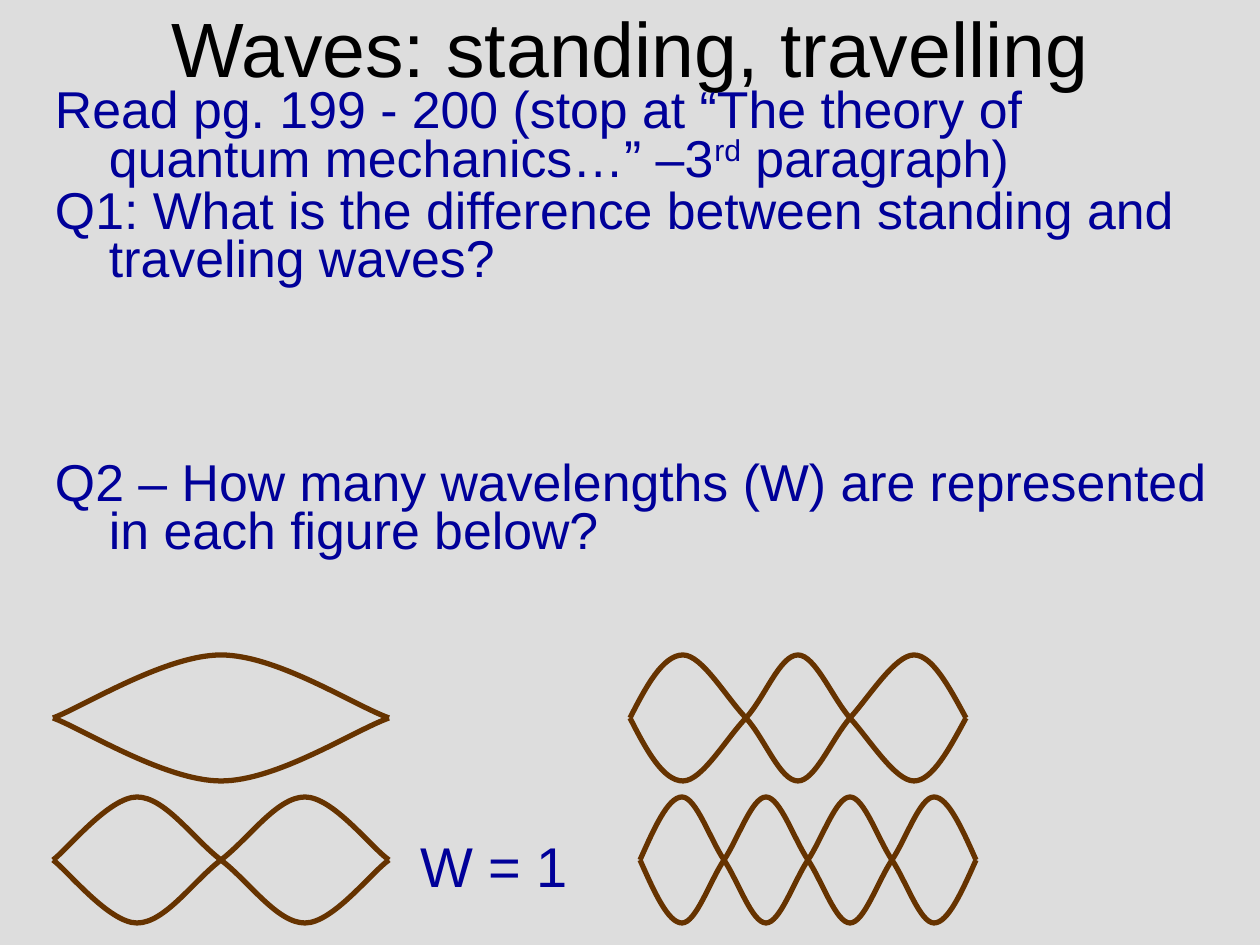
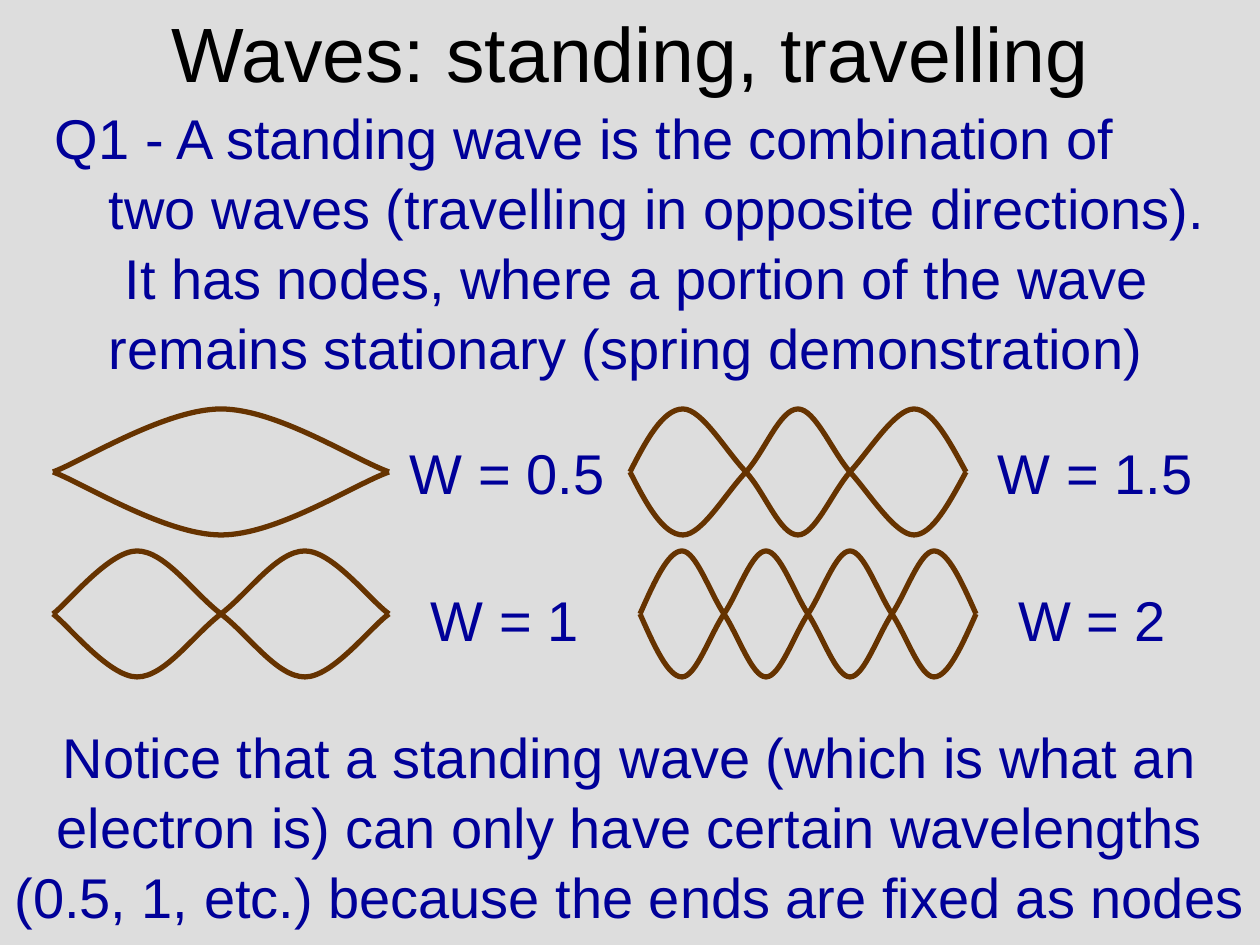
import itertools
from dataclasses import dataclass

import pptx
import pptx.dml.color
import pptx.enum.text
import pptx.oxml.ns
import pptx.util
from lxml import etree

PX = pptx.util.Inches(1) / 126
TITLE_ONLY = 5
ALIGN = pptx.enum.text.PP_ALIGN
ANCHOR = pptx.enum.text.MSO_ANCHOR


@dataclass(frozen=True)
class Theme:
    font: str = "Arial"
    background: str = "DDDDDD"
    title: str = "000000"
    text: str = "000099"
    wave: str = "663300"
    title_size: float = 44
    text_size: float = 32
    question_size: float = 29.6
    wave_width: float = 3
    line_spacing: float = 1.04
    question_spacing: float = 0.78


THEME = Theme()

AMPLITUDE = 63
WAVE_ROW_STEP = 142

# Bezier points of the upper curve: x in px, height as a share of the amplitude.
HALF_WAVE = list(zip(
    (0, 28, 112, 168, 224, 301, 336),
    (0, 0.16, 1, 1, 1, 0.2, 0)))
ONE_WAVE = list(zip(
    (0, 14, 56, 84, 112, 140, 168, 196, 224, 252, 280, 318, 336),
    (0, 0.16, 1, 1, 1, 0.34, 0, -0.34, -1, -1, -1, -0.2, 0)))
CREST = (0.33, 1, 1, 1, 0.33, 0)
TROUGH = tuple(-height for height in CREST)
ONE_AND_HALF_WAVES = list(zip(
    (0, 16, 33, 53, 72, 96, 116, 135, 150, 168, 185, 202, 220, 239, 265, 284, 302, 319, 336),
    (0, 0.5, *CREST[1:], *TROUGH, *CREST[:4], 0.5, 0)))
TWO_WAVES = list(zip(
    range(0, 337, 14),
    (0, 0.5, *CREST[1:], *TROUGH, *CREST, *TROUGH[:4], -0.5, 0)))

# Wave, left edge, row
WAVE_GRID = (
    (HALF_WAVE, 53, 0),
    (ONE_WAVE, 53, 1),
    (ONE_AND_HALF_WAVES, 630, 0),
    (TWO_WAVES, 640, 1),
)


def emu(px):
    return round(px * PX)


def color(value):
    return pptx.dml.color.RGBColor.from_string(value)


def place(shape, left, top, width, height):
    shape.left, shape.top = emu(left), emu(top)
    shape.width, shape.height = emu(width), emu(height)


def write_text(frame, paragraphs, *, size=THEME.text_size, fill=THEME.text,
               align=ALIGN.LEFT, anchor=ANCHOR.TOP, margins=(13, 6), hanging=0,
               spacing=THEME.line_spacing, space_before=()):
    """Each paragraph is a list of runs; every second run is superscript."""
    frame.word_wrap = True
    frame.auto_size = pptx.enum.text.MSO_AUTO_SIZE.NONE
    frame.vertical_anchor = anchor
    frame.margin_left = frame.margin_right = emu(margins[0])
    frame.margin_top = frame.margin_bottom = emu(margins[1])
    for index, runs in enumerate(paragraphs):
        paragraph = frame.add_paragraph() if index else frame.paragraphs[0]
        paragraph.alignment = align
        paragraph.line_spacing = spacing
        paragraph.space_before = pptx.util.Pt(space_before[index - 1] if index else 0)
        if hanging:
            properties = paragraph._p.get_or_add_pPr()
            properties.set("marL", str(emu(hanging)))
            properties.set("indent", str(-emu(hanging)))
        for text, raised in zip(runs, itertools.cycle((False, True))):
            run = paragraph.add_run()
            run.text = text
            run.font.name = THEME.font
            run.font.size = pptx.util.Pt(size)
            run.font.color.rgb = color(fill)
            if raised:
                run._r.get_or_add_rPr().set("baseline", "30000")


def add_text(slide, box, paragraphs, **text_format):
    shape = slide.shapes.add_textbox(*map(emu, box))
    write_text(shape.text_frame, paragraphs, **text_format)


def add_titled_slide(presentation, title, title_height):
    slide = presentation.slides.add_slide(presentation.slide_layouts[TITLE_ONLY])
    place(slide.shapes.title, 95, 10, 1071, title_height)
    write_text(slide.shapes.title.text_frame, [[title]], size=THEME.title_size,
               fill=THEME.title, align=ALIGN.CENTER, anchor=ANCHOR.MIDDLE, spacing=1.0)
    return slide


def bend_segments(shape):
    """Turn each three straight segments of the outline into one Bezier curve."""
    tag = pptx.oxml.ns.qn
    outline = next(shape._element.iter(tag("a:path")))
    segments = outline.findall(tag("a:lnTo"))
    for start in range(0, len(segments), 3):
        curve = etree.SubElement(outline, tag("a:cubicBezTo"))
        for segment in segments[start:start + 3]:
            curve.append(segment[0])
            outline.remove(segment)


def add_standing_wave(slide, wave, left, centre):
    group = slide.shapes.add_group_shape()
    for direction in (-1, 1):
        points = [(emu(left + x), emu(centre + direction * height * AMPLITUDE))
                  for x, height in wave]
        builder = group.shapes.build_freeform(*points[0])
        builder.add_line_segments(points[1:], close=False)
        curve = builder.convert_to_shape()
        bend_segments(curve)
        curve.shadow.inherit = False
        curve.fill.background()
        curve.line.color.rgb = color(THEME.wave)
        curve.line.width = pptx.util.Pt(THEME.wave_width)


def add_wave_grid(slide, first_centre):
    for wave, left, row in WAVE_GRID:
        add_standing_wave(slide, wave, left, first_centre + row * WAVE_ROW_STEP)


def add_wave_label(slide, text, left, top):
    add_text(slide, (left, top, 210, 84), [[text]], margins=(0, 0))


def add_question_slide(presentation, title):
    slide = add_titled_slide(presentation, title, 73)
    add_text(slide, (42, 84, 1187, 483), [
        ["Read pg. 199 - 200 (stop at “The theory of quantum mechanics…” –3",
         "rd", " paragraph)"],
        ["Q1: What is the difference between standing and traveling waves?"],
        ["Q2 – How many wavelengths (W) are represented in each figure below?"],
    ], size=THEME.question_size, spacing=THEME.question_spacing, hanging=54,
        space_before=(2, 100))
    add_wave_grid(slide, 718)
    add_wave_label(slide, "W = 1", 420, 829)


def add_answer_slide(presentation, title):
    slide = add_titled_slide(presentation, title, 84)
    add_text(slide, (42, 95, 1187, 284), [[
        "Q1 - A standing wave is the combination of two waves (travelling in "
        "opposite directions).  It has nodes, where a portion of the wave "
        "remains stationary (spring demonstration)"]], hanging=54)
    add_text(slide, (0, 714, 1260, 200), [[
        "Notice that a standing wave (which is what an electron is) can only "
        "have certain wavelengths (0.5, 1, etc.) because the ends are fixed as "
        "nodes"]], align=ALIGN.CENTER)
    add_wave_grid(slide, 472)
    for text, left, top in (("W = 0.5", 410, 436), ("W = 1", 431, 583),
                            ("W = 1.5", 998, 436), ("W = 2", 1018, 583)):
        add_wave_label(slide, text, left, top)


def main():
    presentation = pptx.Presentation()
    presentation.slide_width = emu(1260)
    presentation.slide_height = emu(945)
    background = presentation.slide_master.background.fill
    background.solid()
    background.fore_color.rgb = color(THEME.background)
    title = "Waves: standing, travelling"
    add_question_slide(presentation, title)
    add_answer_slide(presentation, title)
    presentation.save("out.pptx")


if __name__ == "__main__":
    main()
